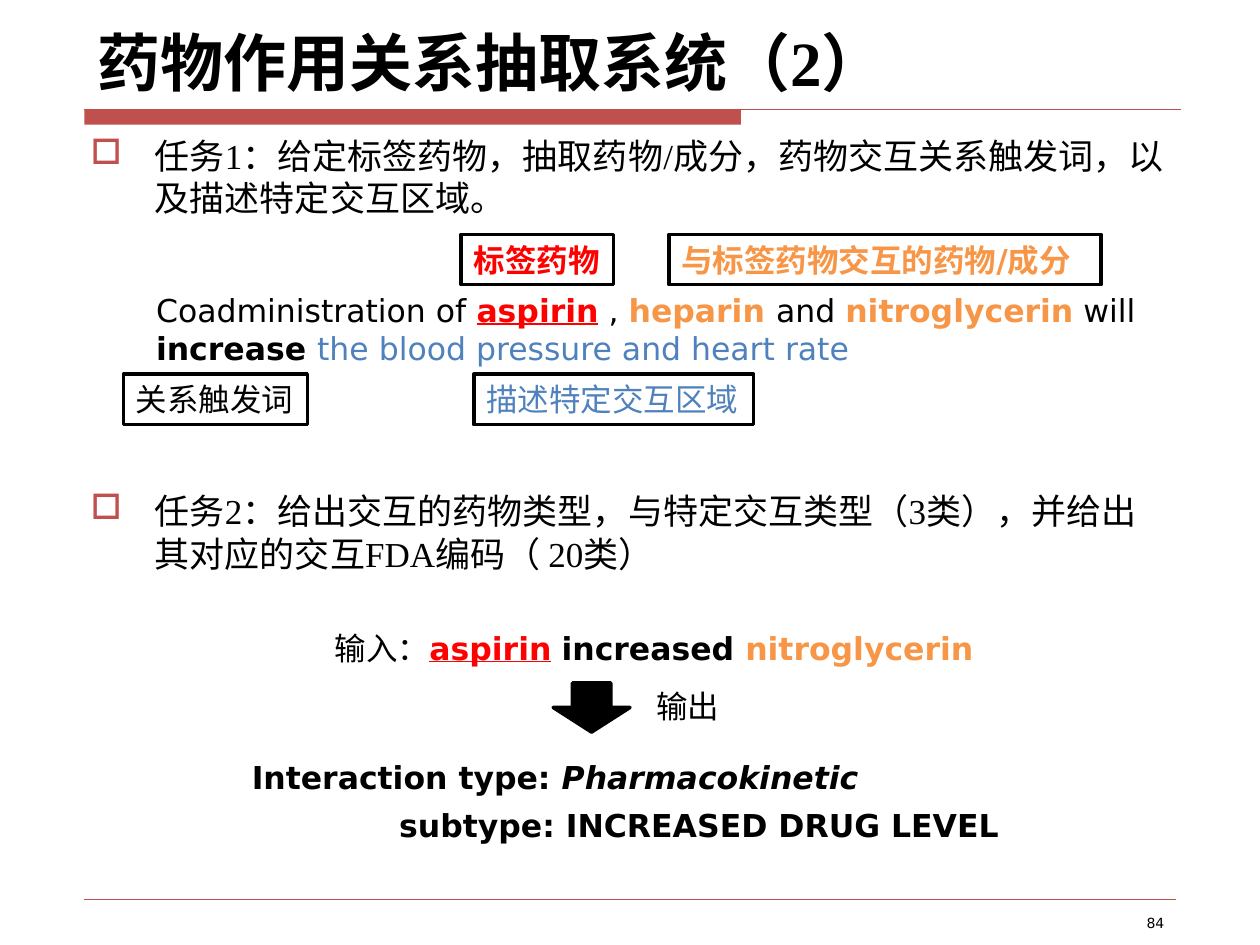
from lxml import etree
from pptx import Presentation
from pptx.dml.color import RGBColor
from pptx.enum.shapes import MSO_CONNECTOR, MSO_SHAPE
from pptx.enum.text import MSO_ANCHOR, MSO_AUTO_SIZE, PP_ALIGN
from pptx.oxml.ns import qn
from pptx.util import Inches, Pt

RECTANGLE = MSO_SHAPE.RECTANGLE
DOWN_ARROW = MSO_SHAPE.DOWN_ARROW
STRAIGHT = MSO_CONNECTOR.STRAIGHT
ANCHOR_TOP = MSO_ANCHOR.TOP
ANCHOR_MIDDLE = MSO_ANCHOR.MIDDLE
ANCHOR_BOTTOM = MSO_ANCHOR.BOTTOM
FIT_NONE = MSO_AUTO_SIZE.NONE
FIT_SHAPE = MSO_AUTO_SIZE.SHAPE_TO_FIT_TEXT
LEFT = PP_ALIGN.LEFT
RIGHT = PP_ALIGN.RIGHT

SERIF = "Times New Roman"
SANS = "DejaVu Sans"
BLACK, WHITE, RED = "000000", "FFFFFF", "FF0000"
ORANGE, BLUE, BRICK = "F79646", "4F81BD", "C0504D"


def rgb(color):
    return RGBColor.from_string(color)


def add_runs(p, runs, size=18, font=SANS):
    for text, color, style in runs:
        r = p.add_run()
        r.text = text
        r.font.name = font
        r.font.size = Pt(size)
        r.font.color.rgb = rgb(color)
        r.font.bold = "b" in style
        r.font.italic = "i" in style
        r.font.underline = "u" in style


def add_text(s, box, runs, size=18, wrap=False, align=LEFT):
    sp = s.shapes.add_textbox(*map(Inches, box))
    tf = sp.text_frame
    tf.word_wrap = wrap
    tf.auto_size = FIT_SHAPE
    p = tf.paragraphs[0]
    p.alignment = align
    add_runs(p, runs, size)


def add_block(s, kind, box, fill, line=None, width=2):
    sp = s.shapes.add_shape(kind, *map(Inches, box))
    sp.shadow.inherit = False
    sp.fill.solid()
    sp.fill.fore_color.rgb = rgb(fill)
    if line:
        sp.line.color.rgb = rgb(line)
        sp.line.width = Pt(width)
    else:
        sp.line.fill.background()
    return sp


def add_label(s, box, text, color, style=""):
    sp = add_block(s, RECTANGLE, box, WHITE, BLACK)
    tf = sp.text_frame
    tf.word_wrap = False
    tf.vertical_anchor = ANCHOR_MIDDLE
    p = tf.paragraphs[0]
    p.alignment = LEFT
    add_runs(p, [(text, color, style)])


def add_rule(s, left, right, y, width):
    cxn = s.shapes.add_connector(
        STRAIGHT, Inches(left), Inches(y), Inches(right), Inches(y))
    cxn.line.color.rgb = rgb(BRICK)
    cxn.line.width = Pt(width)
    etree.SubElement(cxn._element.spPr, qn("a:effectLst"))


def add_title(s, text):
    sp = s.shapes.title
    sp.left, sp.top, sp.width, sp.height = map(Inches, (0.67, 0.21, 8.74, 0.63))
    tf = sp.text_frame
    tf.auto_size = FIT_NONE
    tf.vertical_anchor = ANCHOR_BOTTOM
    p = tf.paragraphs[0]
    p.alignment = LEFT
    add_runs(p, [(text, BLACK, "b")], 36, SERIF)


def add_bullet(p):
    pPr = p._p.get_or_add_pPr()
    pPr.set("marL", str(Inches(0.51)))
    pPr.set("indent", str(-Inches(0.51)))
    color = etree.SubElement(pPr, qn("a:buClr"))
    etree.SubElement(color, qn("a:srgbClr"), val=BRICK)
    etree.SubElement(pPr, qn("a:buChar"), char="□")


def add_tasks(s, box, tasks, gap):
    sp = s.shapes.add_textbox(*map(Inches, box))
    tf = sp.text_frame
    tf.word_wrap = True
    tf.vertical_anchor = ANCHOR_TOP
    for i, task in enumerate(tasks):
        p = tf.add_paragraph() if i else tf.paragraphs[0]
        add_bullet(p)
        if i:
            p.space_before = Pt(gap)
        add_runs(p, [(task, BLACK, "")], 20, SERIF)


def main():
    prs = Presentation()
    prs.slide_width, prs.slide_height = Inches(10), Inches(7.5)
    s = prs.slides.add_slide(prs.slide_layouts[5])

    add_block(s, RECTANGLE, (0.67, 0.87, 5.21, 0.12), BRICK)
    add_rule(s, 0.67, 9.37, 0.87, 0.75)
    add_rule(s, 0.67, 9.33, 7.14, 0.25)
    add_title(s, "药物作用关系抽取系统（2）")
    add_tasks(s, (0.62, 1.02, 8.75, 6.04), [
        "任务1：给定标签药物，抽取药物/成分，药物交互关系触发词，以及描述特定交互区域。",
        "任务2：给出交互的药物类型，与特定交互类型（3类），并给出其对应的交互FDA编码（ 20类）",
    ], 155)
    add_text(s, (7.17, 7.21, 2.17, 0.21), [("84", BLACK, "")], 8, True, RIGHT)

    add_text(s, (1.14, 2.26, 8.19, 0.71), [
        ("Coadministration of ", BLACK, ""),
        ("aspirin", RED, "bu"),
        (" , ", BLACK, ""),
        ("heparin ", ORANGE, "b"),
        ("and ", BLACK, ""),
        ("nitroglycerin", ORANGE, "b"),
        (" will ", BLACK, ""),
        ("increase ", BLACK, "b"),
        ("the blood pressure and heart rate", BLUE, ""),
    ], wrap=True)
    add_label(s, (3.66, 1.86, 1.21, 0.4), "标签药物", RED, "b")
    add_label(s, (5.31, 1.86, 3.43, 0.4), "与标签药物交互的药物/成分", ORANGE, "b")
    add_label(s, (0.98, 2.97, 1.46, 0.4), "关系触发词", BLACK)
    add_label(s, (3.76, 2.97, 2.22, 0.4), "描述特定交互区域", BLUE)

    add_text(s, (2.56, 4.94, 5.39, 0.4), [
        ("输入：", BLACK, ""),
        ("aspirin", RED, "bu"),
        (" ", BLACK, "i"),
        ("increased ", BLACK, "b"),
        ("nitroglycerin", ORANGE, "b"),
    ])
    add_block(s, DOWN_ARROW, (4.39, 5.42, 0.61, 0.39), BLACK, BLACK)
    add_text(s, (5.11, 5.4, 0.71, 0.4), [("输出", BLACK, "")])
    add_text(s, (1.9, 5.97, 5.17, 0.4), [
        ("Interaction type: ", BLACK, "b"),
        ("Pharmacokinetic ", BLACK, "bi"),
    ])
    add_text(s, (3.07, 6.35, 5.06, 0.4),
             [("subtype: INCREASED DRUG LEVEL", BLACK, "b")])
    prs.save("out.pptx")


if __name__ == "__main__":
    main()
